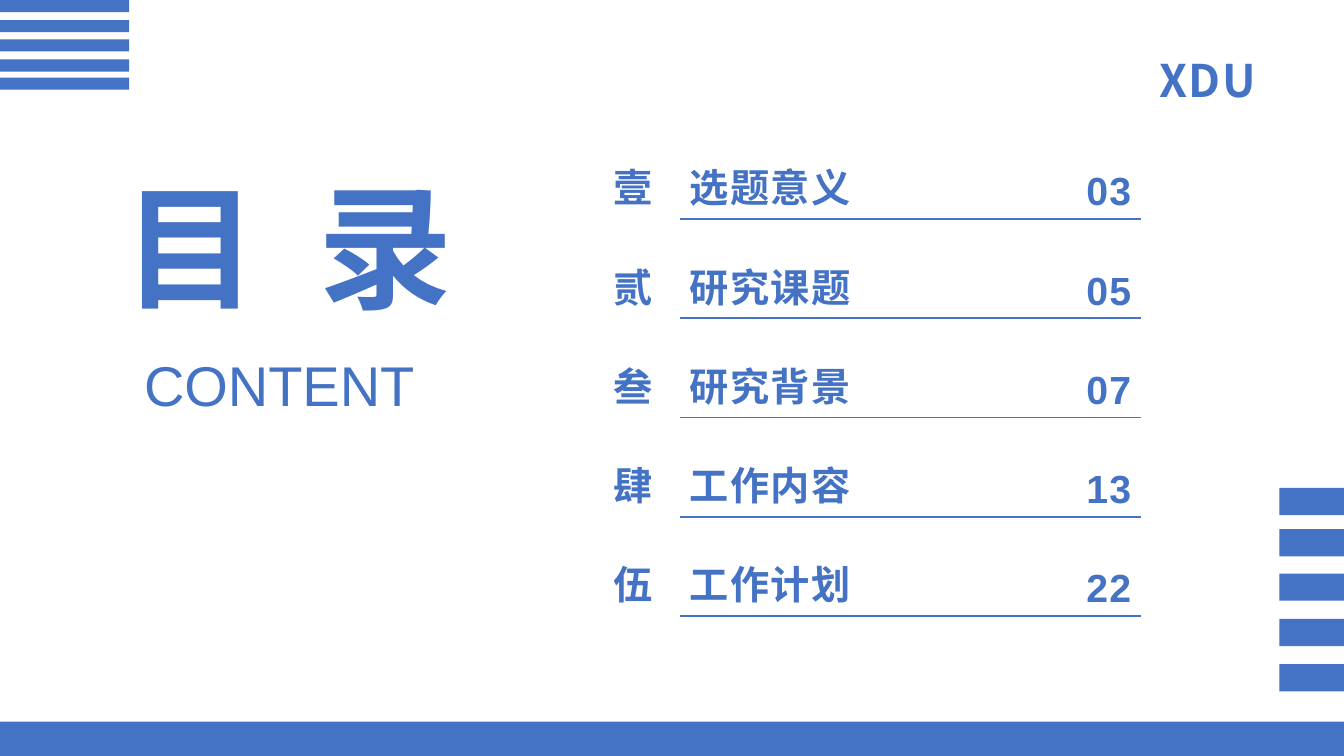
from lxml import etree
from pptx import Presentation
from pptx import util as u
from pptx.dml.color import RGBColor
from pptx.enum import shapes, text
from pptx.oxml.ns import qn

BLUE = RGBColor(0x44, 0x72, 0xC4)
LATIN = "Arial"
CHINESE = "Noto Sans CJK SC"
NO_STYLE = "{2D5ABB26-0587-4C30-8999-92F81FD0307C}"
ALIGN = text.PP_ALIGN
CHAPTERS = [
    ("壹", "选题意义", "03"),
    ("贰", "研究课题", "05"),
    ("叁", "研究背景", "07"),
    ("肆", "工作内容", "13"),
    ("伍", "工作计划", "22"),
]


def style_paragraph(paragraph, size, bold, align, name=LATIN, spacing=0):
    paragraph.alignment = align
    font = paragraph.font
    font.name, font.size, font.bold = name, u.Pt(size), bold
    font.color.rgb = BLUE
    properties = paragraph._p.pPr.find(qn("a:defRPr"))
    properties.set("spc", str(spacing))
    east_asian = etree.SubElement(properties, qn("a:ea"))
    east_asian.set("typeface", CHINESE)


def add_label(slide, left, top, width, height, wording):
    shape = slide.shapes.add_textbox(
        u.Inches(left), u.Inches(top), u.Inches(width), u.Inches(height))
    shape.text_frame.word_wrap = True
    paragraph = shape.text_frame.paragraphs[0]
    paragraph.text = wording
    return paragraph


def add_heading(slide, left, top, width):
    title = slide.shapes.title
    title.left, title.top = u.Inches(left), u.Inches(top)
    title.width, title.height = u.Inches(width), u.Inches(1.72)
    frame = title.text_frame
    frame.word_wrap = False
    frame.auto_size = text.MSO_AUTO_SIZE.NONE
    frame.vertical_anchor = text.MSO_ANCHOR.TOP
    paragraph = frame.paragraphs[0]
    first, last = paragraph.add_run(), paragraph.add_run()
    first.text, last.text = "目 ", "录"
    first.font._element.set("spc", "1080")
    style_paragraph(paragraph, 96, True, ALIGN.LEFT)

    subtitle = add_label(slide, left + 0.21, top + 1.85, 3.35, 0.77, "CONTENT")
    style_paragraph(subtitle, 40, False, ALIGN.LEFT)


def add_bottom_border(cell):
    properties = cell._tc.get_or_add_tcPr()
    border = etree.Element(qn("a:lnB"), w=str(u.Pt(1.5)))
    fill = etree.SubElement(border, qn("a:solidFill"))
    etree.SubElement(fill, qn("a:srgbClr"), val=str(BLUE))
    properties.insert(0, border)


def add_contents(slide, left, top, width, height):
    frame = slide.shapes.add_table(
        len(CHAPTERS), 3,
        u.Inches(left), u.Inches(top), u.Inches(width), u.Inches(height))
    table = frame.table
    table.first_row = table.horz_banding = False
    table._tbl.tblPr.find(qn("a:tableStyleId")).text = NO_STYLE
    for column, share in zip(table.columns, (0.76, width - 1.74, 0.98)):
        column.width = u.Inches(share)
    for row, chapter in enumerate(CHAPTERS):
        for column, wording in enumerate(chapter):
            cell = table.cell(row, column)
            cell.vertical_anchor = text.MSO_ANCHOR.BOTTOM
            cell.fill.background()
            paragraph = cell.text_frame.paragraphs[0]
            paragraph.text = wording
            paragraph.line_spacing = 1.0 if column == 2 else 1.5
            align = ALIGN.RIGHT if column == 2 else ALIGN.LEFT
            style_paragraph(paragraph, 28, True, align, spacing=100)
            if column:
                add_bottom_border(cell)


def add_bars(slide, left, top, width, height, offsets=(0,)):
    for offset in offsets:
        shape = slide.shapes.add_shape(
            shapes.MSO_SHAPE.RECTANGLE, u.Inches(left),
            u.Inches(top + offset), u.Inches(width), u.Inches(height))
        shape.shadow.inherit = False
        shape.fill.solid()
        shape.fill.fore_color.rgb = BLUE
        shape.line.fill.background()


def add_school_name(slide, left, top, width, height):
    paragraph = add_label(slide, left, top, width, height, "XDU")
    paragraph.line_spacing = 1.3
    style_paragraph(paragraph, 32, True, ALIGN.LEFT, CHINESE, 100)


def main():
    presentation = Presentation()
    presentation.slide_width = u.Inches(13.33)
    presentation.slide_height = u.Inches(7.5)
    slide = presentation.slides.add_slide(presentation.slide_layouts[5])
    add_school_name(slide, 11.4, 0.31, 1.26, 0.73)
    add_heading(slide, 1.12, 1.58, 3.69)
    add_contents(slide, 5.98, 1.19, 5.34, 4.92)
    add_bars(slide, 0, 7.16, 13.33, 0.34)
    add_bars(slide, 0, 0, 1.28, 0.12, (0, 0.2, 0.39, 0.59, 0.77))
    add_bars(slide, 12.69, 4.84, 0.64, 0.27, (0, 0.41, 0.85, 1.3, 1.75))
    presentation.save("out.pptx")


if __name__ == "__main__":
    main()
